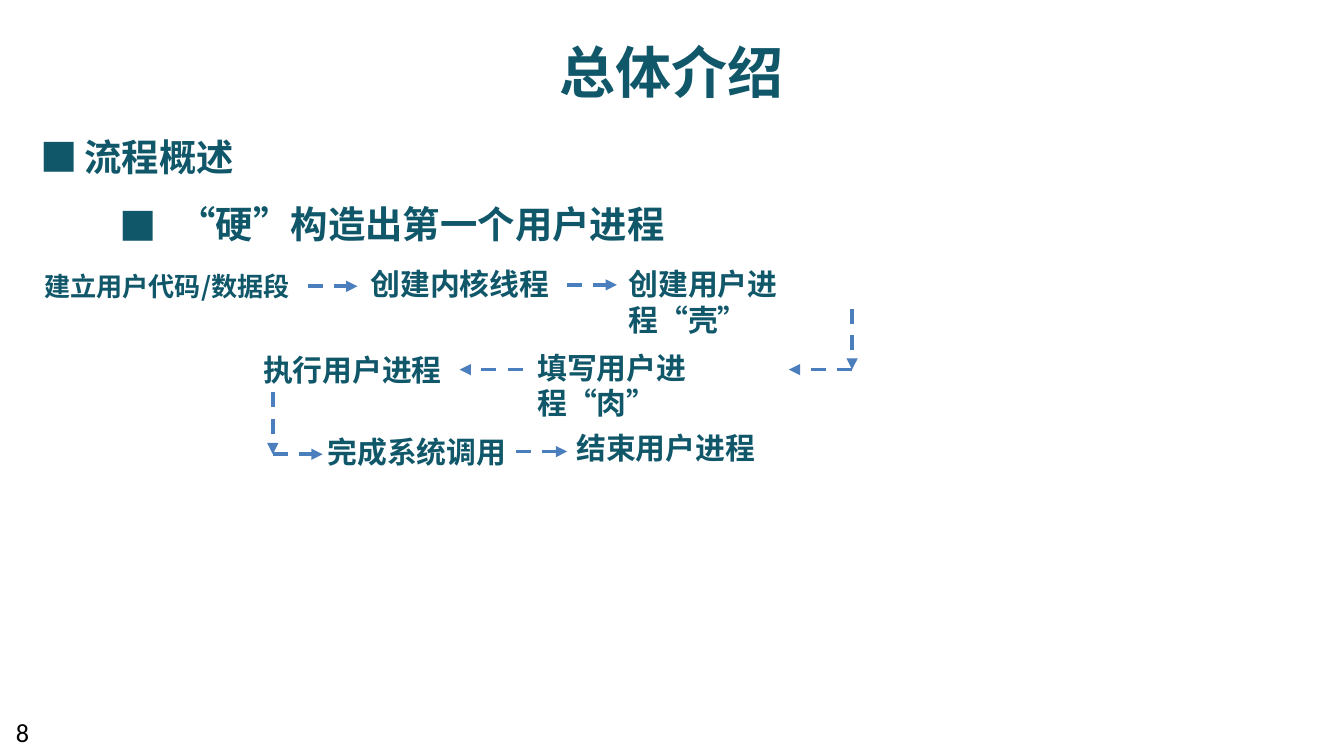
from lxml import etree
from pptx import Presentation
from pptx.dml.color import RGBColor
from pptx.enum.dml import MSO_LINE
from pptx.enum.shapes import MSO_CONNECTOR
from pptx.enum.text import MSO_AUTO_SIZE, PP_ALIGN
from pptx.oxml.ns import qn
from pptx.util import Inches, Pt

STRAIGHT = MSO_CONNECTOR.STRAIGHT
DASH = MSO_LINE.DASH
GROW = MSO_AUTO_SIZE.SHAPE_TO_FIT_TEXT
FIXED = MSO_AUTO_SIZE.NONE
LEFT, CENTER = PP_ALIGN.LEFT, PP_ALIGN.CENTER

TEAL, BLUE, BLACK = "11576A", "4B7EBC", "000000"
HAN, MARK, LATIN = "Noto Sans CJK SC", "Noto Sans CJK JP", "Calibri"

STEPS = [
    ("建立用户代码/数据段", 0.23, 1.96, 2.06, 0.34, 14),
    ("创建内核线程", 2.66, 1.93, 1.56, 0.37, 16),
    ("创建用户进程“壳”", 4.58, 1.93, 2.07, 0.37, 16),
    ("填写用户进程“肉”", 3.9, 2.55, 2.04, 0.37, 16),
    ("执行用户进程", 1.86, 2.57, 1.56, 0.37, 16),
    ("完成系统调用", 2.34, 3.18, 1.56, 0.37, 16),
    ("结束用户进程", 4.19, 3.15, 1.56, 0.37, 16),
]

ROUTES = [
    [(2.29, 2.13), (2.66, 2.13)],
    [(4.22, 2.12), (4.59, 2.12)],
    [(6.34, 2.3), (6.34, 2.75), (5.87, 2.75)],
    [(3.89, 2.75), (3.42, 2.75)],
    [(2.03, 2.92), (2.03, 3.38), (2.4, 3.38)],
    [(3.84, 3.36), (4.22, 3.36)],
]


def color(value):
    return RGBColor.from_string(value)


def add_label(slide, text, left, top, width, height, size, typeface=HAN,
              ink=TEAL, bold=True, align=LEFT, fit=GROW):
    label = slide.shapes.add_textbox(
        Inches(left), Inches(top), Inches(width), Inches(height))
    frame = label.text_frame
    frame.word_wrap = True
    frame.auto_size = fit
    paragraph = frame.paragraphs[0]
    paragraph.alignment = align
    run = paragraph.add_run()
    run.text = text
    font = run.font
    font.size = Pt(size)
    font.bold = bold
    font.color.rgb = color(ink)
    font.name = typeface
    properties = run._r.get_or_add_rPr()
    properties.set("lang", "zh-CN")
    etree.SubElement(properties, qn("a:ea"), typeface=typeface)


def add_heading(slide, text, mark_place, text_place, fit):
    add_label(slide, "■", *mark_place, 20, typeface=MARK)
    add_label(slide, text, *text_place, 20, fit=fit)


def add_arrow(slide, start, end):
    arrow = slide.shapes.add_connector(
        STRAIGHT, *(Inches(value) for value in start + end))
    arrow.line.color.rgb = color(BLUE)
    arrow.line.width = Pt(2)
    arrow.line.dash_style = DASH
    etree.SubElement(arrow.line._get_or_add_ln(), qn("a:tailEnd"), type="triangle")
    etree.SubElement(arrow._element.spPr, qn("a:effectLst"))


def add_route(slide, points):
    for start, end in zip(points, points[1:]):
        add_arrow(slide, start, end)


def main():
    deck = Presentation()
    deck.slide_width = Inches(10)
    deck.slide_height = deck.slide_width * 9 // 16
    slide = deck.slides.add_slide(deck.slide_layouts[6])

    add_label(slide, "总体介绍", 3.55, 0.23, 2.89, 0.61, 30, align=CENTER)
    add_heading(slide, "流程概述", (0.2, 0.95, 0.47, 0.44),
                (0.53, 0.95, 1.47, 0.47), FIXED)
    add_heading(slide, "“硬”构造出第一个用户进程", (0.79, 1.46, 0.47, 0.44),
                (1.23, 1.45, 4.01, 0.44), GROW)
    for step in STEPS:
        add_label(slide, *step)
    for route in ROUTES:
        add_route(slide, route)
    add_label(slide, "8", 0.02, 5.28, 0.48, 0.3, 14, typeface=LATIN,
              ink=BLACK, bold=False, fit=FIXED)

    deck.save("out.pptx")


if __name__ == "__main__":
    main()
